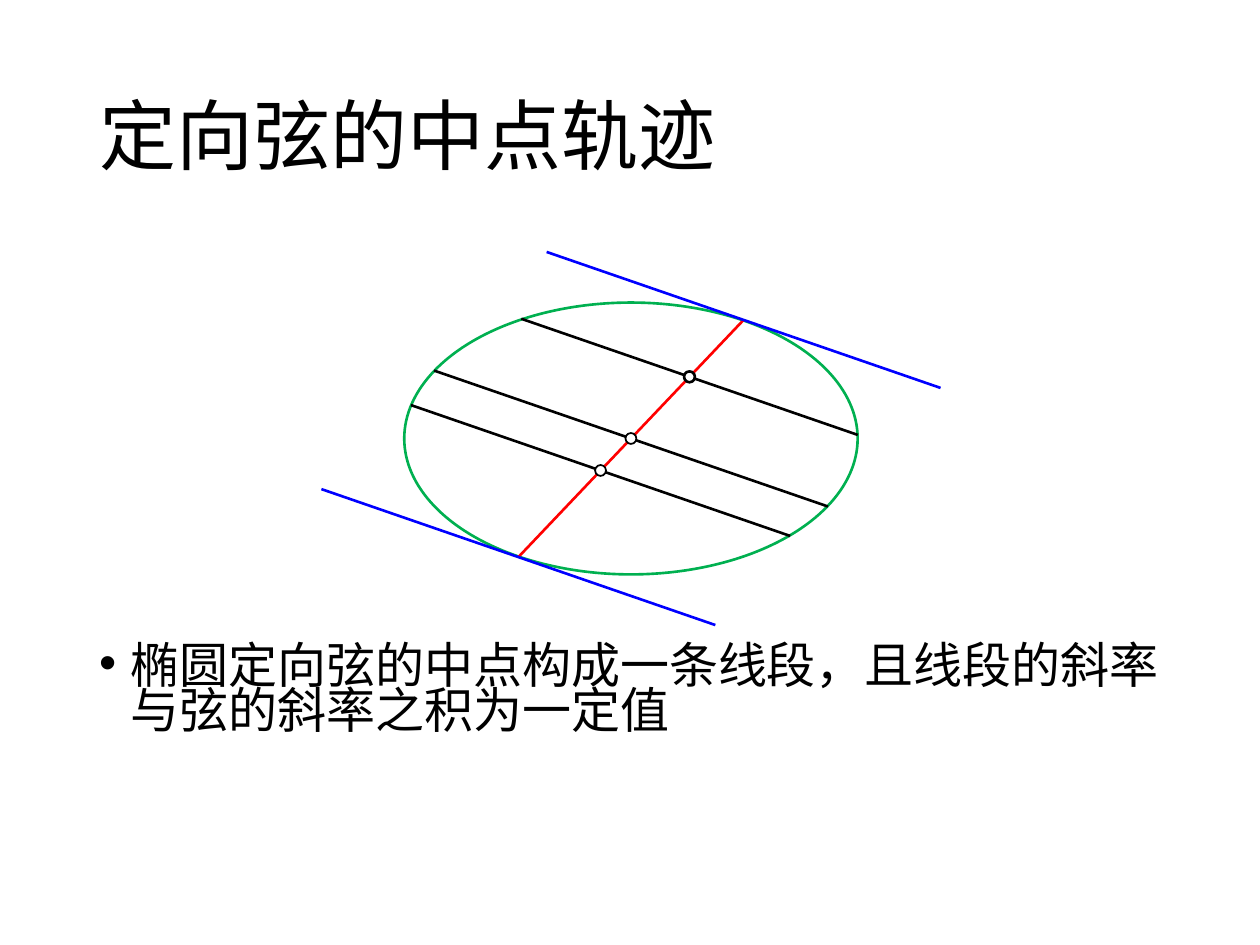
from dataclasses import dataclass
from math import sqrt

from lxml.etree import SubElement
from pptx import Presentation
from pptx.dml.color import RGBColor as Rgb
from pptx.enum.shapes import MSO_CONNECTOR as Connector, MSO_SHAPE as Shape
from pptx.enum.text import MSO_ANCHOR as Anchor, MSO_AUTO_SIZE as AutoSize, PP_ALIGN as Align
from pptx.oxml.ns import qn
from pptx.util import Cm, Pt


@dataclass(frozen=True)
class Theme:
    font: str = "Noto Sans CJK SC"
    title_size: float = 44
    body_size: float = 28
    ink: Rgb = Rgb(0, 0, 0)
    paper: Rgb = Rgb(255, 255, 255)
    curve: Rgb = Rgb(0x00, 0xB0, 0x50)
    locus: Rgb = Rgb(255, 0, 0)
    tangent: Rgb = Rgb(0, 0, 255)
    stroke: float = 1.5
    thin_stroke: float = 1


class SlideBuilder:
    def __init__(self, slide, theme):
        self.slide = slide
        self.theme = theme
        self.figure = None

    def format_text(self, frame, size, spacing):
        frame.word_wrap = True
        frame.auto_size = AutoSize.NONE
        for paragraph in frame.paragraphs:
            paragraph.alignment = Align.LEFT
            paragraph.line_spacing = spacing
            for run in paragraph.runs:
                run.font.size = Pt(size)
                run.font.name = self.theme.font
                run.font.color.rgb = self.theme.ink
                east_asian = SubElement(run.font._element, qn("a:ea"))
                east_asian.set("typeface", self.theme.font)

    def title(self, text, left, top, width, height):
        heading = self.slide.shapes.title
        heading.left, heading.top = Cm(left), Cm(top)
        heading.width, heading.height = Cm(width), Cm(height)
        heading.text_frame.text = text
        heading.text_frame.vertical_anchor = Anchor.MIDDLE
        self.format_text(heading.text_frame, self.theme.title_size, 0.85)

    def bullet(self, text, left, top, width, height, indent):
        statement = self.slide.shapes.add_textbox(Cm(left), Cm(top), Cm(width), Cm(height))
        frame = statement.text_frame
        frame.text = text
        properties = frame.paragraphs[0]._p.get_or_add_pPr()
        properties.set("marL", str(Cm(indent)))
        properties.set("indent", str(-Cm(indent)))
        SubElement(properties, qn("a:buFont")).set("typeface", "Arial")
        SubElement(properties, qn("a:buChar")).set("char", "•")
        self.format_text(frame, self.theme.body_size, 0.76)

    def start_figure(self):
        self.figure = self.slide.shapes.add_group_shape().shapes

    def ellipse(self, centre, radius_x, radius_y, color, stroke, fill=None):
        x, y = centre
        oval = self.figure.add_shape(Shape.OVAL, Cm(x - radius_x), Cm(y - radius_y),
                                     Cm(2 * radius_x), Cm(2 * radius_y))
        oval.shadow.inherit = False
        oval.line.color.rgb = color
        oval.line.width = Pt(stroke)
        if fill is None:
            oval.fill.background()
        else:
            oval.fill.solid()
            oval.fill.fore_color.rgb = fill

    def segment(self, middle, half, color):
        (x, y), (dx, dy) = middle, half
        segment = self.figure.add_connector(Connector.STRAIGHT, Cm(x - dx), Cm(y - dy),
                                            Cm(x + dx), Cm(y + dy))
        segment.line.color.rgb = color
        segment.line.width = Pt(self.theme.stroke)
        SubElement(segment._element.spPr, qn("a:effectLst"))


# Conjugate half-diameters of the ellipse, in centimetres
CENTRE = (12.72, 8.84)
CHORD_HALF = (3.97, 1.37)
LOCUS_HALF = (2.27, -2.39)
# Chord positions along the locus: 0 is the centre, 1 and -1 its ends
UPPER, LOWER, CENTRAL = 0.52, -0.27, 0


def locus_point(position):
    return tuple(c + position * h for c, h in zip(CENTRE, LOCUS_HALF))


def chord_half(position):
    scale = sqrt(1 - position ** 2)
    return tuple(scale * h for h in CHORD_HALF)


def main():
    theme = Theme()
    deck = Presentation()
    deck.slide_width, deck.slide_height = Cm(25.4), Cm(19.05)
    page = SlideBuilder(deck.slides.add_slide(deck.slide_layouts[5]), theme)

    # Title and statement
    page.title("定向弦的中点轨迹", 1.75, 1.01, 21.9, 3.68)
    page.bullet("椭圆定向弦的中点构成一条线段，且线段的斜率与弦的斜率之积为一定值",
                1.75, 12.93, 21.9, 2.77, 0.64)

    # Ellipse and locus of midpoints
    page.start_figure()
    page.ellipse(CENTRE, 4.57, 2.74, theme.curve, theme.stroke)
    page.segment(CENTRE, LOCUS_HALF, theme.locus)

    # Parallel chords
    for position in (UPPER, LOWER, CENTRAL):
        page.segment(locus_point(position), chord_half(position), theme.ink)

    # Tangents at the ends of the locus
    for end in (1, -1):
        page.segment(locus_point(end), CHORD_HALF, theme.tangent)

    # Midpoints of the chords
    for position, stroke in ((UPPER, theme.stroke), (LOWER, theme.thin_stroke),
                             (CENTRAL, theme.thin_stroke)):
        page.ellipse(locus_point(position), 0.11, 0.11, theme.ink, stroke, theme.paper)

    deck.save("out.pptx")


if __name__ == "__main__":
    main()
